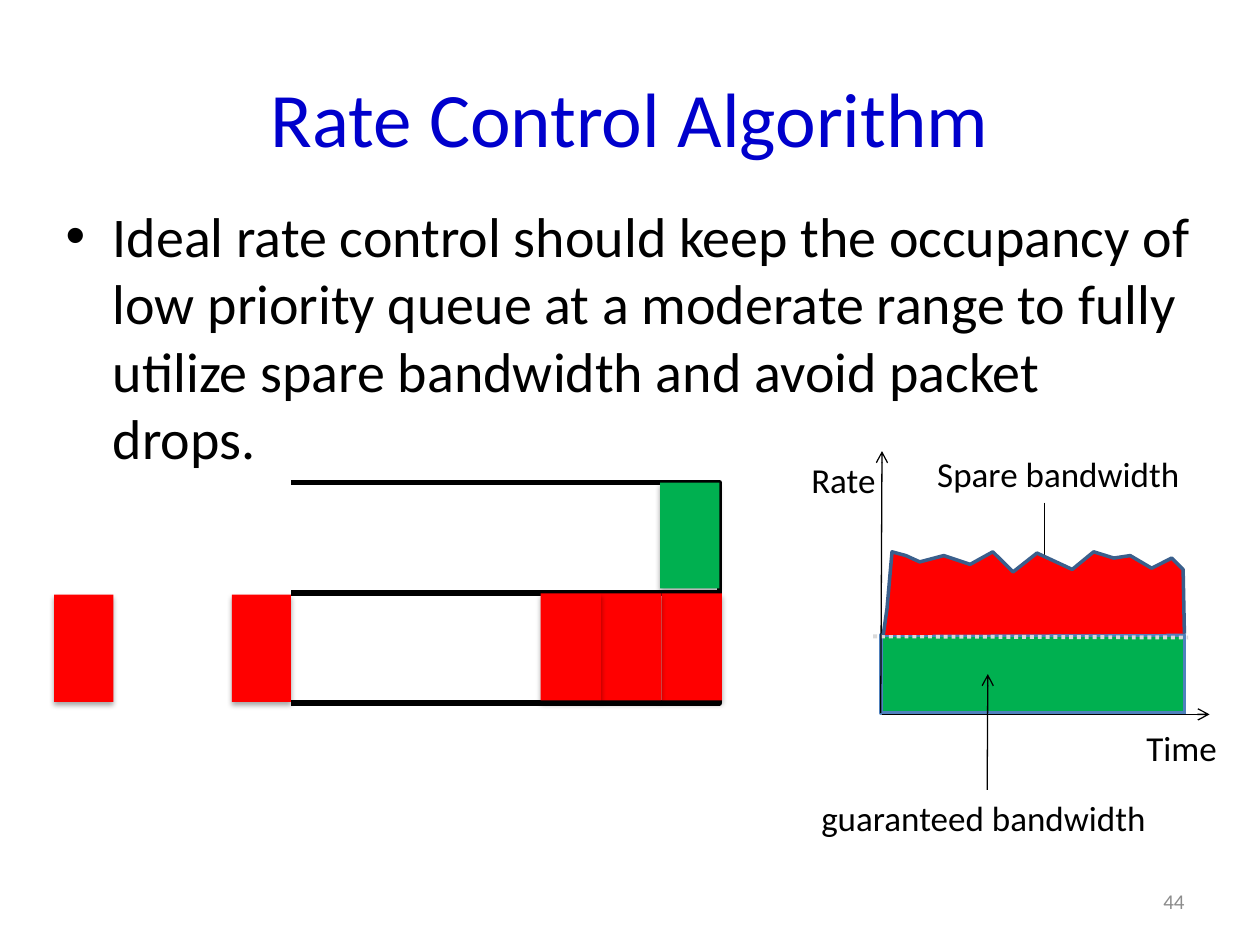
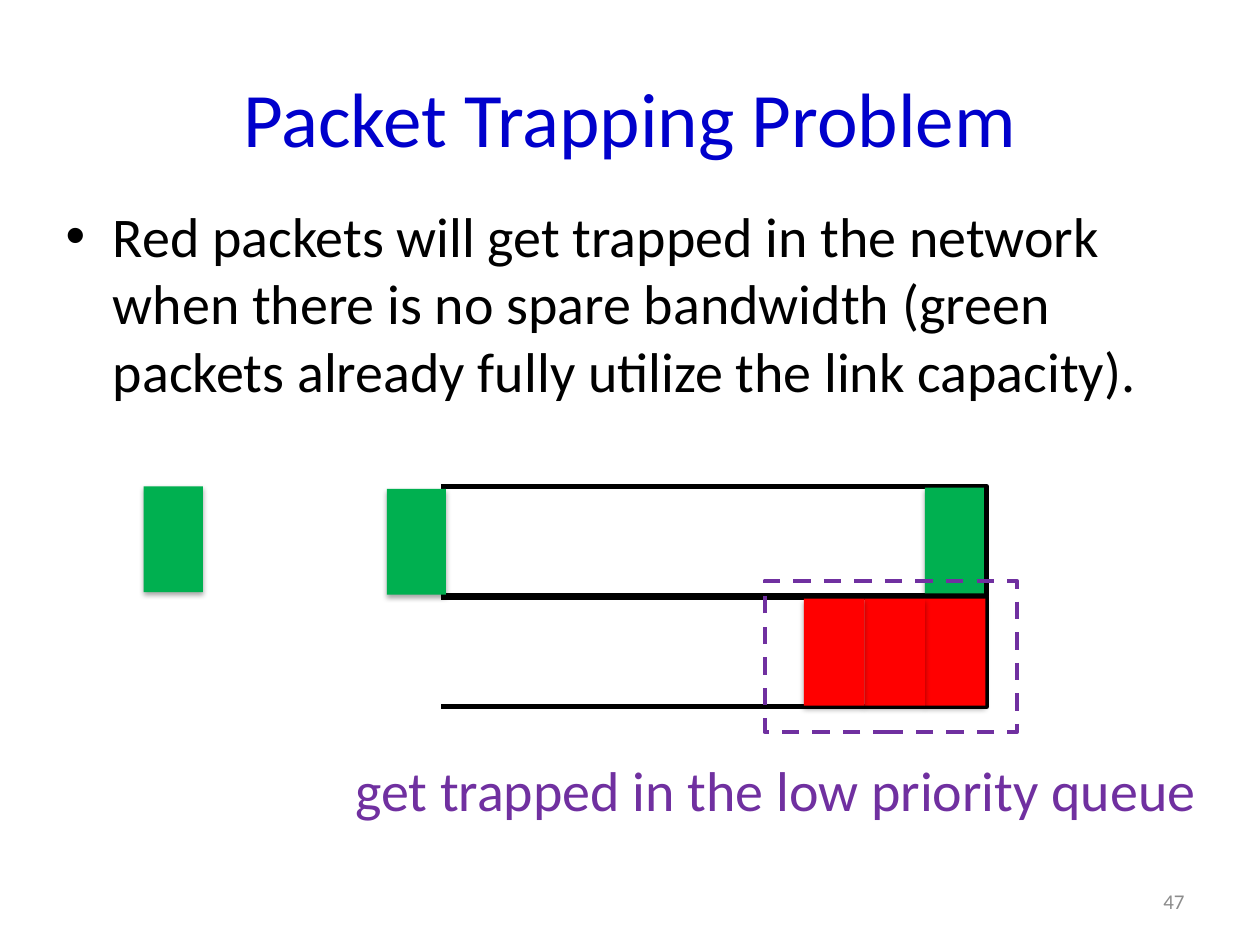
import pptx
import pptx.util
import pptx.dml.color
import pptx.enum.dml
import pptx.enum.shapes
import pptx.enum.text
import pptx.oxml.ns
from lxml import etree

RGBColor = pptx.dml.color.RGBColor
BLUE = RGBColor(0x00, 0x00, 0xCC)
BLACK = RGBColor(0x00, 0x00, 0x00)
WHITE = RGBColor(0xFF, 0xFF, 0xFF)
RED = RGBColor(0xFF, 0x00, 0x00)
GREEN = RGBColor(0x00, 0xB0, 0x50)
PURPLE = RGBColor(0x70, 0x30, 0xA0)
GREY = RGBColor(0x8C, 0x8C, 0x8C)
PALE = RGBColor(0xD9, 0xD9, 0xD9)
STEEL = RGBColor(0x4F, 0x81, 0xBD)
NAVY = RGBColor(0x3A, 0x5F, 0x8C)

UNIT = 9144  # EMU in one px, 100 px to the inch
FONT = "Calibri"
LANE = 88  # distance between the two queues
ALIGN = pptx.enum.text.PP_ALIGN
MIDDLE = pptx.enum.text.MSO_ANCHOR.MIDDLE
DASH = pptx.enum.dml.MSO_LINE
qn = pptx.oxml.ns.qn


class Deck:
    def __init__(self):
        self.prs = pptx.Presentation()
        self.prs.slide_width, self.prs.slide_height = self.emu(1000, 750)
        self.slide = None

    def emu(self, *nums):
        return [pptx.util.Emu(n * UNIT) for n in nums]

    def letter(self, shape, text, size, color, align=None):
        frame = shape.text_frame
        frame.text = text
        para = frame.paragraphs[0]
        para.font.name = FONT
        para.font.size = pptx.util.Pt(size)
        para.font.color.rgb = color
        para.alignment = align
        return frame

    def move(self, shape, *box):
        shape.left, shape.top, shape.width, shape.height = self.emu(*box)

    def stroke(self, line, color, width, dash=None):
        line.color.rgb = color
        line.width = pptx.util.Pt(width)
        if dash:
            line.dash_style = dash

    def paint(self, shape, fill, line, width, dash=None):
        shape.shadow.inherit = False
        if fill is None:
            shape.fill.background()
        else:
            shape.fill.solid()
            shape.fill.fore_color.rgb = fill
        if line is None:
            shape.line.fill.background()
        else:
            self.stroke(shape.line, line, width, dash)
        return shape

    def page(self, title, body, number):
        self.slide = self.prs.slides.add_slide(self.prs.slide_layouts[1])
        head = self.slide.shapes.title
        self.move(head, 50, 30, 900, 125)
        self.letter(head, title, 44, BLUE, ALIGN.CENTER).vertical_anchor = MIDDLE
        self.stroke(head.line, WHITE, 0.75)
        item = self.slide.placeholders[1]
        self.move(item, 42, 155, 916, 500)
        self.letter(item, body, 32, BLACK)
        box = self.slide.shapes.add_textbox(*self.emu(717, 695, 233, 40))
        self.letter(box, number, 12, GREY, ALIGN.RIGHT).vertical_anchor = MIDDLE
        box.text_frame.word_wrap = True

    def label(self, text, left, top, width, height=44, size=20, color=BLACK):
        box = self.slide.shapes.add_textbox(*self.emu(left, top, width, height))
        self.letter(box, text, size, color).word_wrap = False
        return box

    def rect(self, box, fill=None, line=None, width=1, dash=None):
        kind = pptx.enum.shapes.MSO_SHAPE.RECTANGLE
        shape = self.slide.shapes.add_shape(kind, *self.emu(*box))
        return self.paint(shape, fill, line, width, dash)

    def outline(self, points, line, width, fill=None):
        pen = self.slide.shapes.build_freeform(*points[0], scale=UNIT)
        pen.add_line_segments(points[1:], close=False)
        return self.paint(pen.convert_to_shape(), fill, line, width)

    def line(self, start, end, color=BLACK, width=0.75, dash=None, arrow=True):
        kind = pptx.enum.shapes.MSO_CONNECTOR.STRAIGHT
        con = self.slide.shapes.add_connector(kind, *self.emu(*start, *end))
        self.stroke(con.line, color, width, dash)
        props = con.element.spPr
        if arrow:
            etree.SubElement(props.find(qn("a:ln")), qn("a:tailEnd"), type="arrow")
        etree.SubElement(props, qn("a:effectLst"))
        return con

    def queues(self, left, top, width):
        right = left + width
        for y in (top, top + LANE):
            base = y + 87
            self.outline([(left, y), (right, y), (right, base), (left, base)], BLACK, 3)

    def packet(self, left, top, color, width=47):
        shape = self.rect((left, top, width, 84 if color == GREEN else 85), color)
        effects = shape.element.spPr.find(qn("a:effectLst"))
        shade = etree.SubElement(effects, qn("a:outerShdw"), blurRad="40000",
                                 dist="23000", dir="5400000", rotWithShape="0")
        tint = etree.SubElement(shade, qn("a:srgbClr"), val=str(BLACK))
        etree.SubElement(tint, qn("a:alpha"), val="35000")

    def stack(self, left, top):
        for i in (2, 1, 0):
            self.packet(left + 48 * i, top, RED, 48)


def control(deck):
    deck.page("Rate Control Algorithm",
              "Ideal rate control should keep the occupancy of low priority queue "
              "at a moderate range to fully utilize spare bandwidth and avoid packet drops.",
              "44")
    deck.queues(231, 383, 340)

    # Rate over time
    deck.rect((699, 504, 241, 62), GREEN, STEEL, 2)
    deck.label("Spare bandwidth", 734, 354, 214)
    deck.line((829, 399), (829, 472))
    deck.line((693, 505), (943, 506), PALE, 2.25, DASH.ROUND_DOT, arrow=False)
    deck.line((699, 566), (700, 358))
    deck.line((700, 567), (960, 567))
    deck.label("Time", 900, 572, 77)
    deck.label("Rate", 634, 359, 79)
    sure = deck.label("guaranteed bandwidth", 642, 627, 283)
    deck.line((784, 627), (784, 535)).begin_connect(sure, 0)

    # Packets
    for left in (43, 184):
        deck.packet(left, 472, RED)
    deck.packet(524, 383, GREEN)
    deck.stack(429, 471)

    # Spare bandwidth area
    crest = [(701, 504), (704, 483), (708, 438), (719, 441), (730, 446), (749, 441),
             (770, 448), (788, 438), (804, 454), (823, 439), (851, 452), (868, 438),
             (884, 443), (897, 441), (914, 451), (930, 443), (939, 452), (940, 503)]
    deck.outline(crest, NAVY, 2, RED)


def trapping(deck):
    deck.page("Packet Trapping Problem",
              "Red packets will get trapped in the network when there is no spare "
              "bandwidth (green packets already fully utilize the link capacity).",
              "47")
    deck.queues(350, 386, 433)

    # Packets
    for left, top in ((734, 387), (307, 388), (114, 386)):
        deck.packet(left, top, GREEN)
    deck.stack(638, 475)

    # Trapped group
    deck.rect((607, 461, 200, 120), None, PURPLE, 2.5, DASH.DASH)
    deck.label("get trapped in the low priority queue", 272, 595, 695, 64, 32, PURPLE)


def main():
    deck = Deck()
    control(deck)
    trapping(deck)
    deck.prs.save("out.pptx")


if __name__ == "__main__":
    main()
